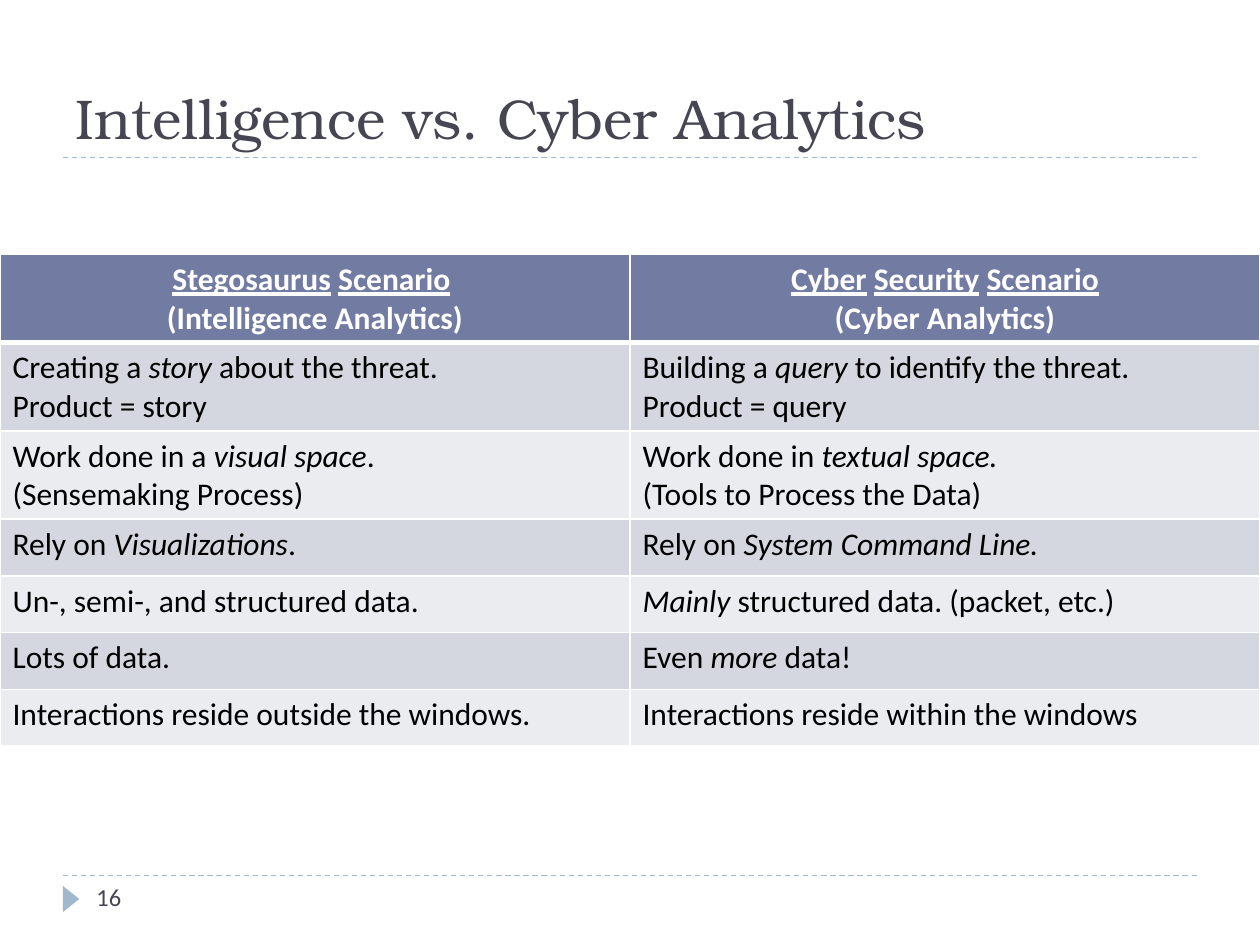
"""Build the slide that compares intelligence analytics with cyber analytics."""
from lxml.etree import SubElement
from pptx import Presentation
from pptx.dml.color import RGBColor
from pptx.enum.dml import MSO_LINE
from pptx.enum.shapes import MSO_CONNECTOR, MSO_SHAPE
from pptx.enum.text import MSO_ANCHOR, PP_ALIGN
from pptx.oxml.ns import qn
from pptx.util import Pt

INK = "464653"
ACCENT = "9FB8CD"
HEADER_FILL = "727CA3"
BAND_FILLS = ["EBECF0", "D5D7E0"]

COMPARISON = [
    ("*Stegosaurus* *Scenario* \n(Intelligence Analytics)",
     "*Cyber* *Security* *Scenario*\n(Cyber Analytics)"),
    ("Creating a *story* about the threat.\nProduct = story",
     "Building a *query* to identify the threat.\nProduct = query"),
    ("Work done in a *visual space*.\n(Sensemaking Process)",
     "Work done in *textual space.*\n(Tools to Process the Data)"),
    ("Rely on *Visualizations*.", "Rely on *System Command Line.*"),
    ("Un-, semi-, and structured data.", "*Mainly* structured data. (packet, etc.)"),
    ("Lots of data.", "Even *more* data!"),
    ("Interactions reside outside the windows.", "Interactions reside within the windows"),
]


def rgb(value):
    return RGBColor.from_string(value)


def set_font(font, name, size, color):
    font.name, font.size = name, Pt(size)
    font.color.rgb = rgb(color)


prs = Presentation()
prs.slide_width, prs.slide_height = Pt(720), Pt(540)
slide = prs.slides.add_slide(prs.slide_layouts[5])
shapes = slide.shapes

for rule_y in (500.4, 90):
    rule = shapes.add_connector(MSO_CONNECTOR.STRAIGHT, Pt(36), Pt(rule_y), Pt(684), Pt(rule_y))
    rule.line.color.rgb = rgb(ACCENT)
    rule.line.width = Pt(0.75)
    rule.line.dash_style = MSO_LINE.DASH
    SubElement(rule._element.spPr, qn("a:effectLst"))

page_marker = shapes.add_shape(MSO_SHAPE.ISOSCELES_TRIANGLE, Pt(33.1), Pt(509), Pt(15), Pt(9.4))
page_marker.rotation = 90
page_marker.shadow.inherit = False
page_marker.fill.solid()
page_marker.fill.fore_color.rgb = rgb(ACCENT)
page_marker.line.fill.background()

title = shapes.title
title.left, title.top, title.width, title.height = Pt(36), Pt(12.2), Pt(648), Pt(77.8)
title.text_frame.text = "Intelligence vs. Cyber Analytics"
title.text_frame.vertical_anchor = MSO_ANCHOR.BOTTOM
heading = title.text_frame.paragraphs[0]
heading.alignment = PP_ALIGN.LEFT
set_font(heading.font, "TeX Gyre Bonum", 32, INK)

page_number = shapes.add_textbox(Pt(48), Pt(500.4), Pt(156), Pt(28.8)).text_frame
page_number.word_wrap = True
page_number.text = "16"
set_font(page_number.paragraphs[0].font, "Calibri", 14, INK)

table = shapes.add_table(len(COMPARISON), 2, Pt(0), Pt(145.4), Pt(720), Pt(32.4 * len(COMPARISON))).table
for row, statements in enumerate(COMPARISON):
    is_header = row == 0
    for column, statement in enumerate(statements):
        cell = table.cell(row, column)
        if is_header:
            border = SubElement(cell._tc.get_or_add_tcPr(), qn("a:lnB"), w=str(Pt(3)))
            SubElement(SubElement(border, qn("a:solidFill")), qn("a:srgbClr"), val="FFFFFF")
        cell.fill.solid()
        cell.fill.fore_color.rgb = rgb(HEADER_FILL if is_header else BAND_FILLS[row % 2])
        paragraph = cell.text_frame.paragraphs[0]
        paragraph.alignment = PP_ALIGN.CENTER if is_header else PP_ALIGN.LEFT
        set_font(paragraph.font, "Calibri", 18, "FFFFFF" if is_header else "000000")
        paragraph.font.bold = is_header
        for line_index, line in enumerate(statement.split("\n")):
            if line_index:
                paragraph.add_line_break()
            for part_index, part in enumerate(line.split("*")):
                if not part:
                    continue
                run = paragraph.add_run()
                run.text = part
                if part_index % 2 and is_header:
                    run.font.underline = True
                elif part_index % 2:
                    run.font.italic = True

prs.save("out.pptx")
